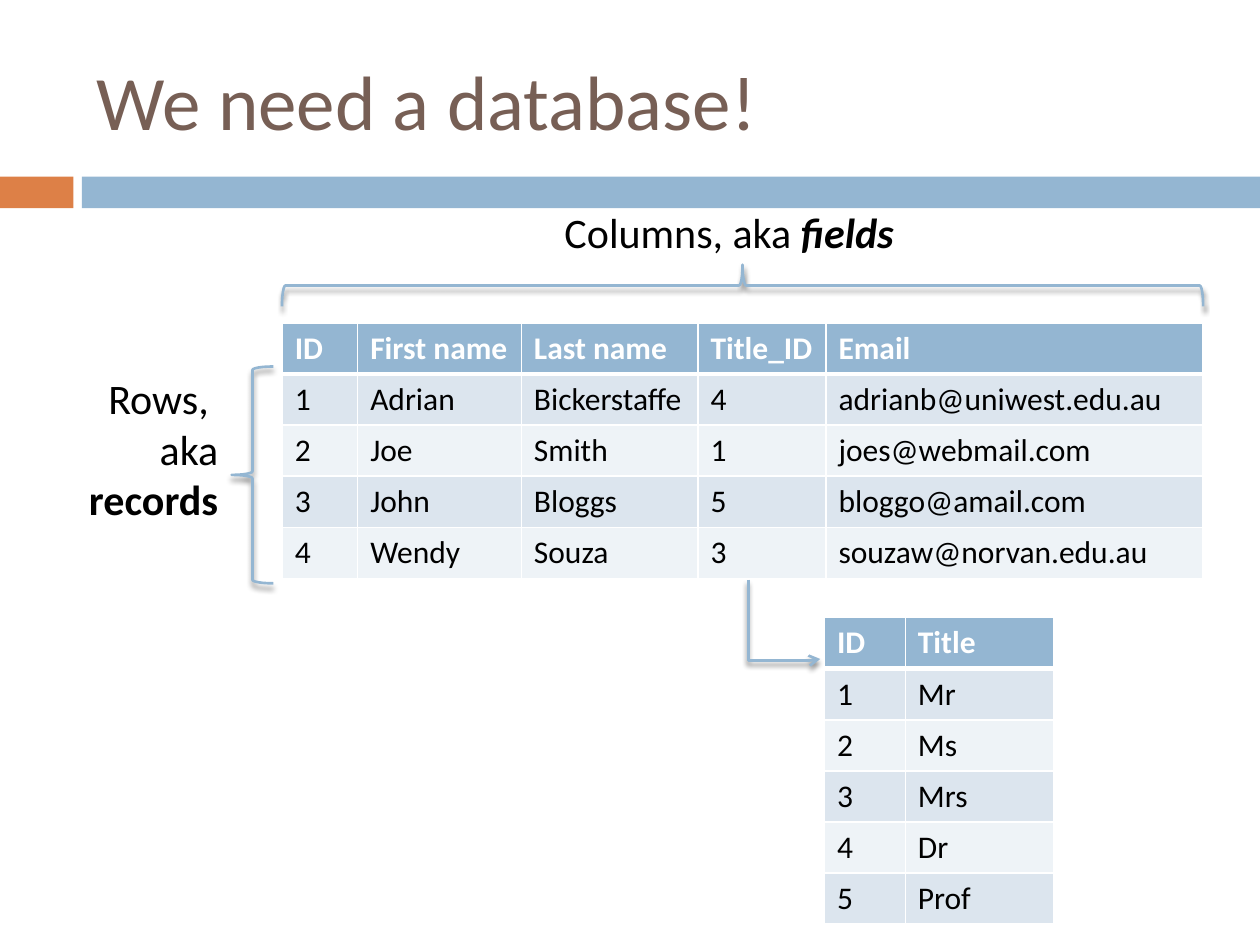
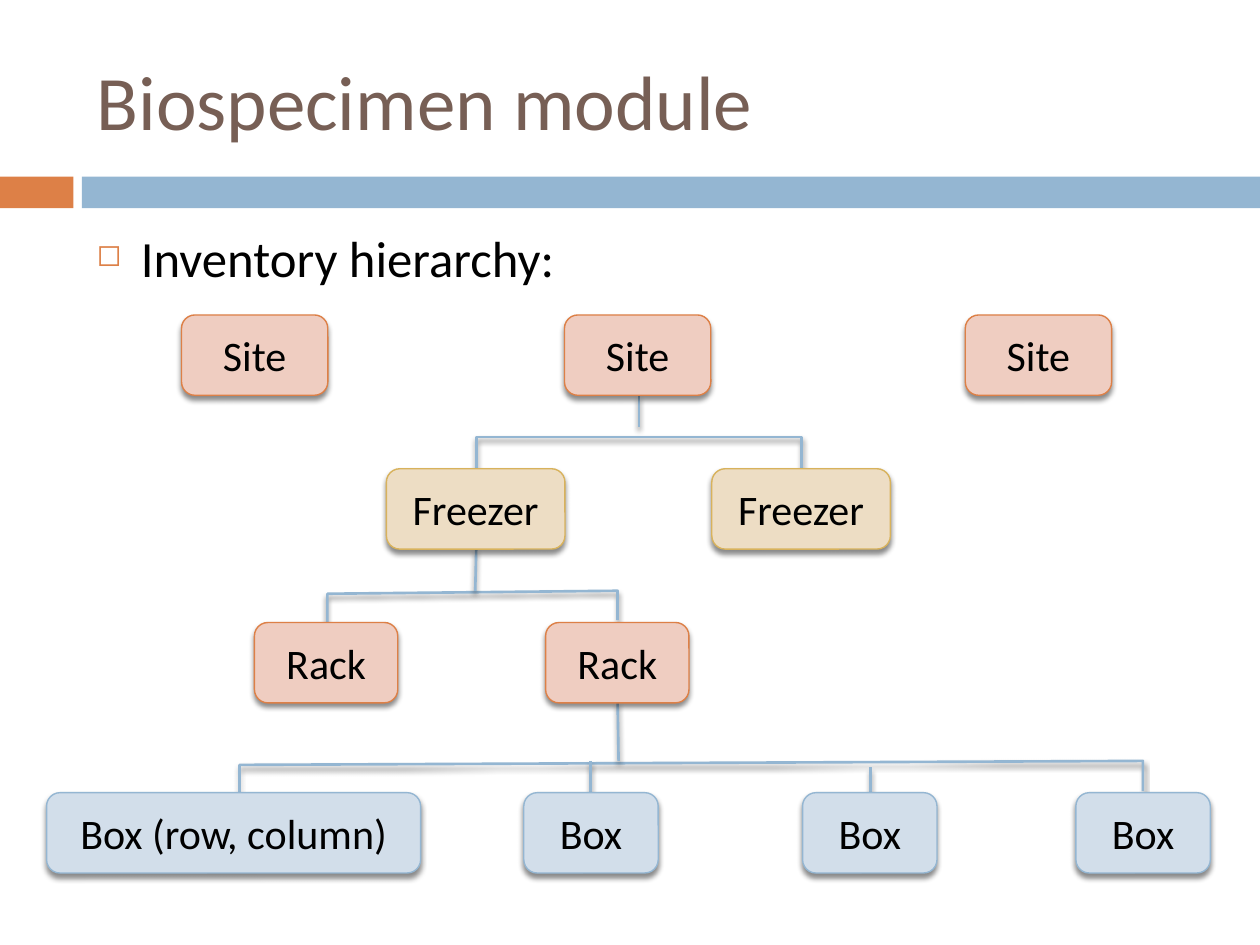
from lxml.etree import SubElement
from pptx import Presentation
from pptx.dml.color import RGBColor
from pptx.enum.shapes import MSO_CONNECTOR, MSO_SHAPE
from pptx.enum.text import MSO_ANCHOR, MSO_AUTO_SIZE, PP_ALIGN
from pptx.oxml.ns import qn
from pptx.util import Cm, Pt

# Shared look
BLUE, ORANGE, GOLD = "94B6D2", "DD8047", "D8B25C"
BROWN, BLACK, WHITE = "775F55", "000000", "FFFFFF"
STRIPES = ("EEF3F7", "DCE5EE")
PALE = {ORANGE: "EFCDC1", GOLD: "EDDDC4", BLUE: "D2DEEA"}
TITLE = {"size": Pt(44)}
BODY = {"size": Pt(29)}
LABEL = {"size": Pt(24)}
CELL = {"size": Pt(18), "bold": False}
HEAD = {"size": Pt(18), "bold": True}


def rgb(hex_color):
    return RGBColor.from_string(hex_color)


def add_xml(parent, tag, **attrs):
    return SubElement(parent, qn(tag), {k: str(v) for k, v in attrs.items()})


def add_color(parent, hex_color):
    fill = add_xml(parent, "a:solidFill")
    return add_xml(fill, "a:srgbClr", val=hex_color)


# Text
def add_run(p, text, fmt, color=BLACK):
    r = p.add_run()
    r.text = text
    for name, value in {"name": "Calibri", **fmt}.items():
        setattr(r.font, name, value)
    r.font.color.rgb = rgb(color)


def add_text(s, x, y, w, h, paragraphs, color=BLACK, align=None, **frame):
    """Each paragraph is a list of (text, format) runs."""
    tf = s.shapes.add_textbox(Cm(x), Cm(y), Cm(w), Cm(h)).text_frame
    for name, value in {"word_wrap": True, **frame}.items():
        setattr(tf, name, value)
    for i, runs in enumerate(paragraphs):
        p = tf.add_paragraph() if i else tf.paragraphs[0]
        p.alignment = align
        for text, fmt in runs:
            add_run(p, text, fmt, color)
    return tf


def add_bullet(p):
    p.space_before = Pt(7)
    pPr = p._p.get_or_add_pPr()
    pPr.set("marL", str(Cm(0.89)))
    pPr.set("indent", str(-Cm(0.89)))
    add_xml(add_xml(pPr, "a:buClr"), "a:srgbClr", val=ORANGE)
    add_xml(pPr, "a:buSzPct", val=60000)
    add_xml(pPr, "a:buChar", char="◻")


# Shapes and lines
def outline(sp, color=BLUE, width=1.5):
    """Coloured line with the soft shadow below it."""
    sp.line.color.rgb = rgb(color)
    sp.line.width = Pt(width)
    effects = add_xml(sp._element.spPr, "a:effectLst")
    shadow = add_xml(effects, "a:outerShdw", blurRad=Pt(3), dist=Pt(2.4),
                     dir=5400000, rotWithShape=0)
    add_xml(add_xml(shadow, "a:srgbClr", val=BLACK), "a:alpha", val=45000)


def add_band(s, x, w, color):
    sp = s.shapes.add_shape(MSO_SHAPE.RECTANGLE, Cm(x), Cm(3.56), Cm(w), Cm(0.64))
    sp.shadow.inherit = False
    sp.fill.solid()
    sp.fill.fore_color.rgb = rgb(color)
    sp.line.fill.background()


def add_brace(s, kind, x, y, w, h, rotation=0):
    sp = s.shapes.add_shape(kind, Cm(x), Cm(y), Cm(w), Cm(h))
    sp.rotation = rotation
    sp.fill.background()
    outline(sp)


def add_node(s, x, y, w, text, color):
    sp = s.shapes.add_shape(MSO_SHAPE.ROUNDED_RECTANGLE, Cm(x), Cm(y), Cm(w), Cm(1.62))
    sp.fill.solid()
    sp.fill.fore_color.rgb = rgb(PALE[color])
    outline(sp, color, 0.79)
    p = sp.text_frame.paragraphs[0]
    p.alignment = PP_ALIGN.CENTER
    add_run(p, text, LABEL)


def add_line(s, x1, y1, x2, y2):
    outline(s.shapes.add_connector(MSO_CONNECTOR.STRAIGHT, Cm(x1), Cm(y1), Cm(x2), Cm(y2)))


def add_elbow(s, x, y, w, h, flip, bend, arrow=False):
    """Elbow turned upright; bend is the middle leg's place as a share of w."""
    cxn = s.shapes.add_connector(MSO_CONNECTOR.ELBOW, Cm(x), Cm(y), Cm(x + w), Cm(y + h))
    outline(cxn)
    spPr = cxn._element.spPr
    spPr.xfrm.set("rot", str(270 * 60000))
    spPr.xfrm.set(flip, "1")
    guides = spPr.find(qn("a:prstGeom")).find(qn("a:avLst"))
    add_xml(guides, "a:gd", name="adj1", fmla=f"val {round(bend * 100000)}")
    if arrow:
        add_xml(cxn.line._get_or_add_ln(), "a:tailEnd", type="arrow")


def add_bracket(s, points):
    (x, y), *rest = [(Cm(px), Cm(py)) for px, py in points]
    fb = s.shapes.build_freeform(x, y)
    fb.add_line_segments(rest, close=False)
    sp = fb.convert_to_shape()
    sp.fill.background()
    outline(sp)


# Tables
def set_cell(cell, text, row):
    tcPr = cell._tc.get_or_add_tcPr()
    for side in ("L", "R", "T", "B"):
        width = 3 if (row == 0 and side == "B") or (row == 1 and side == "T") else 1
        add_color(add_xml(tcPr, f"a:ln{side}", w=Pt(width)), WHITE)
    cell.fill.solid()
    cell.fill.fore_color.rgb = rgb(STRIPES[row % 2] if row else BLUE)
    add_run(cell.text_frame.paragraphs[0], text, CELL if row else HEAD,
            BLACK if row else WHITE)


def add_grid(s, x, y, widths, rows, row_height=1.03):
    shape = s.shapes.add_table(len(rows), len(widths), Cm(x), Cm(y),
                               Cm(sum(widths)), Cm(row_height * len(rows)))
    for column, w in zip(shape.table.columns, widths):
        column.width = Cm(w)
    for i, row in enumerate(rows):
        shape.table.rows[i].height = Cm(row_height)
        for j, text in enumerate(row):
            set_cell(shape.table.cell(i, j), text, i)


# Slides
def new_slide(prs, title):
    s = prs.slides.add_slide(prs.slide_layouts[6])
    add_band(s, 0, 1.48, ORANGE)
    add_band(s, 1.65, 23.75, BLUE)
    add_text(s, 1.7, 0.64, 22.66, 2.74, [[(title, TITLE)]], BROWN,
             vertical_anchor=MSO_ANCHOR.MIDDLE)
    return s


def database_slide(prs):
    s = new_slide(prs, "We need a database!")
    grow = {"auto_size": MSO_AUTO_SIZE.SHAPE_TO_FIT_TEXT}
    people = [
        ("ID", "First name", "Last name", "Title_ID", "Email"),
        ("1", "Adrian", "Bickerstaffe", "4", "adrianb@uniwest.edu.au"),
        ("2", "Joe", "Smith", "1", "joes@webmail.com"),
        ("3", "John", "Bloggs", "5", "bloggo@amail.com"),
        ("4", "Wendy", "Souza", "3", "souzaw@norvan.edu.au"),
    ]
    add_grid(s, 5.69, 6.51, (1.52, 3.3, 3.56, 2.58, 7.6), people)
    add_brace(s, MSO_SHAPE.LEFT_BRACE, 4.67, 7.39, 0.84, 4.37)
    add_brace(s, MSO_SHAPE.RIGHT_BRACE, 14.55, -3.53, 0.84, 18.57, 270)
    add_text(s, 0.51, 7.39, 4.14, 3.33,
             [[("Rows, ", LABEL)],
              [("aka ", LABEL), ("records", {**LABEL, "bold": True})]],
             align=PP_ALIGN.RIGHT, **grow)
    add_text(s, 11.13, 4.04, 7.82, 1.27,
             [[("Columns, aka ", LABEL),
               ("fields", {**LABEL, "bold": True, "italic": True})]], **grow)
    # Lookup table for the titles
    titles = ["Title", "Mr", "Ms", "Mrs", "Dr", "Prof"]
    rows = [(str(i) if i else "ID", t) for i, t in enumerate(titles)]
    add_grid(s, 16.62, 12.45, (1.63, 3), rows)
    add_elbow(s, 15.01, 11.76, 1.6, 1.45, "flipH", 1.02, arrow=True)


def hierarchy_slide(prs):
    s = new_slide(prs, "Biospecimen module")
    tf = add_text(s, 1.7, 4.45, 22.66, 12.5, [[("Inventory hierarchy:", BODY)]])
    add_bullet(tf.paragraphs[0])
    # Branches
    add_elbow(s, 12.88, 6.17, 0.01, 6.55, "flipV", 63.5)
    add_bracket(s, [(4.83, 15.98), (4.83, 15.42), (23.04, 15.34), (23.04, 15.95)])
    add_bracket(s, [(6.6, 12.55), (6.6, 11.97), (12.45, 11.91), (12.45, 12.5)])
    for ends in [(11.91, 15.34, 11.91, 15.98), (17.55, 15.47, 17.55, 16.1),
                 (12.88, 7.98, 12.88, 8.61), (9.6, 11.07, 9.58, 11.91),
                 (12.45, 14.15, 12.47, 15.34)]:
        add_line(s, *ends)
    # Levels: text, colour, top, width, left edges
    levels = [
        ("Site", ORANGE, 6.35, 2.95, (3.66, 11.38, 19.46)),
        ("Freezer", GOLD, 9.45, 3.6, (7.79, 14.35)),
        ("Rack", ORANGE, 12.55, 2.89, (5.13, 11)),
        ("Box (row, column)", BLUE, 15.98, 7.54, (0.94,)),
        ("Box", BLUE, 15.98, 2.71, (10.56, 16.18, 21.69)),
    ]
    for text, color, y, w, lefts in levels:
        for x in lefts:
            add_node(s, x, y, w, text, color)


def main():
    prs = Presentation()
    prs.slide_width, prs.slide_height = Cm(25.4), Cm(19.05)
    database_slide(prs)
    hierarchy_slide(prs)
    prs.save("out.pptx")


if __name__ == "__main__":
    main()
